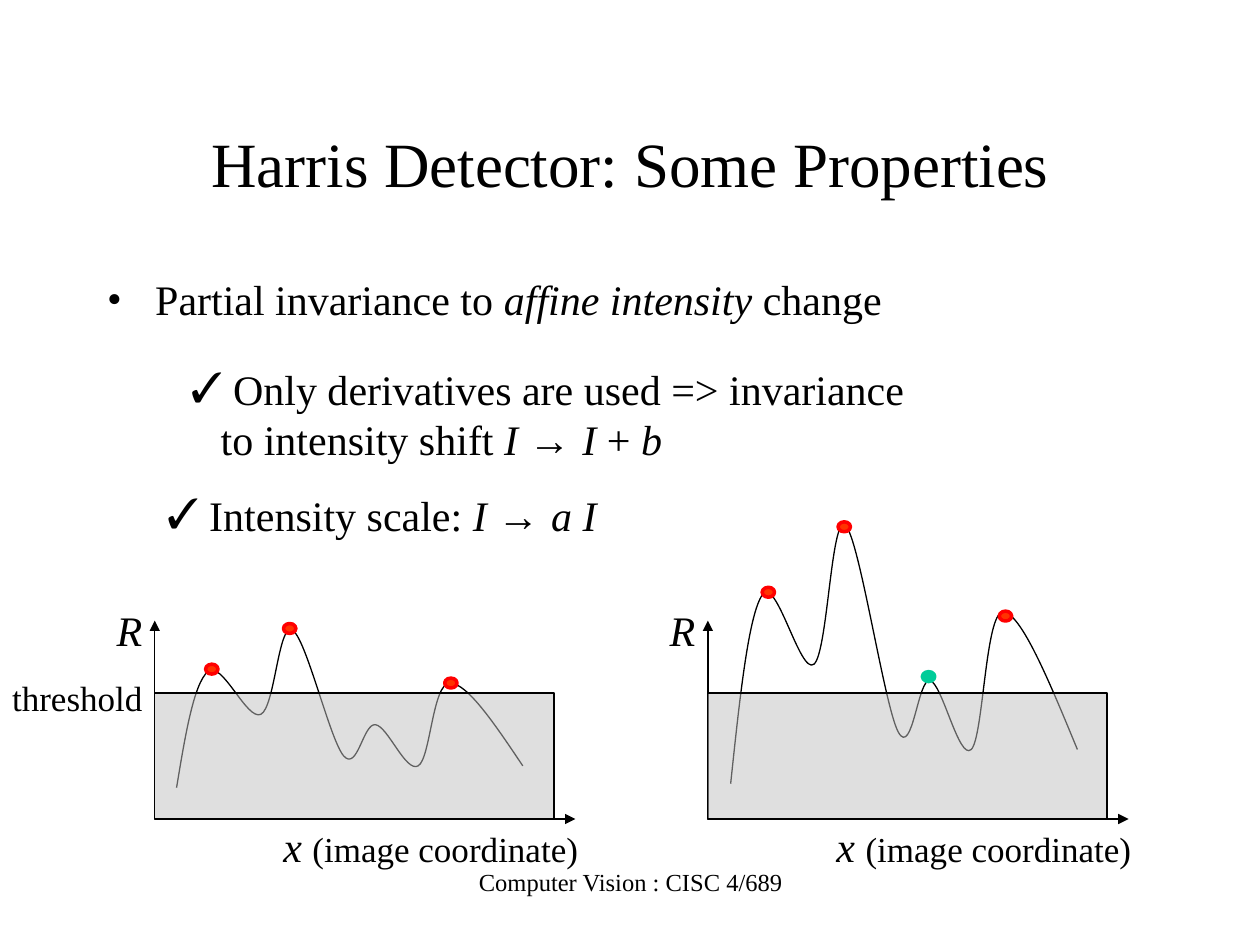
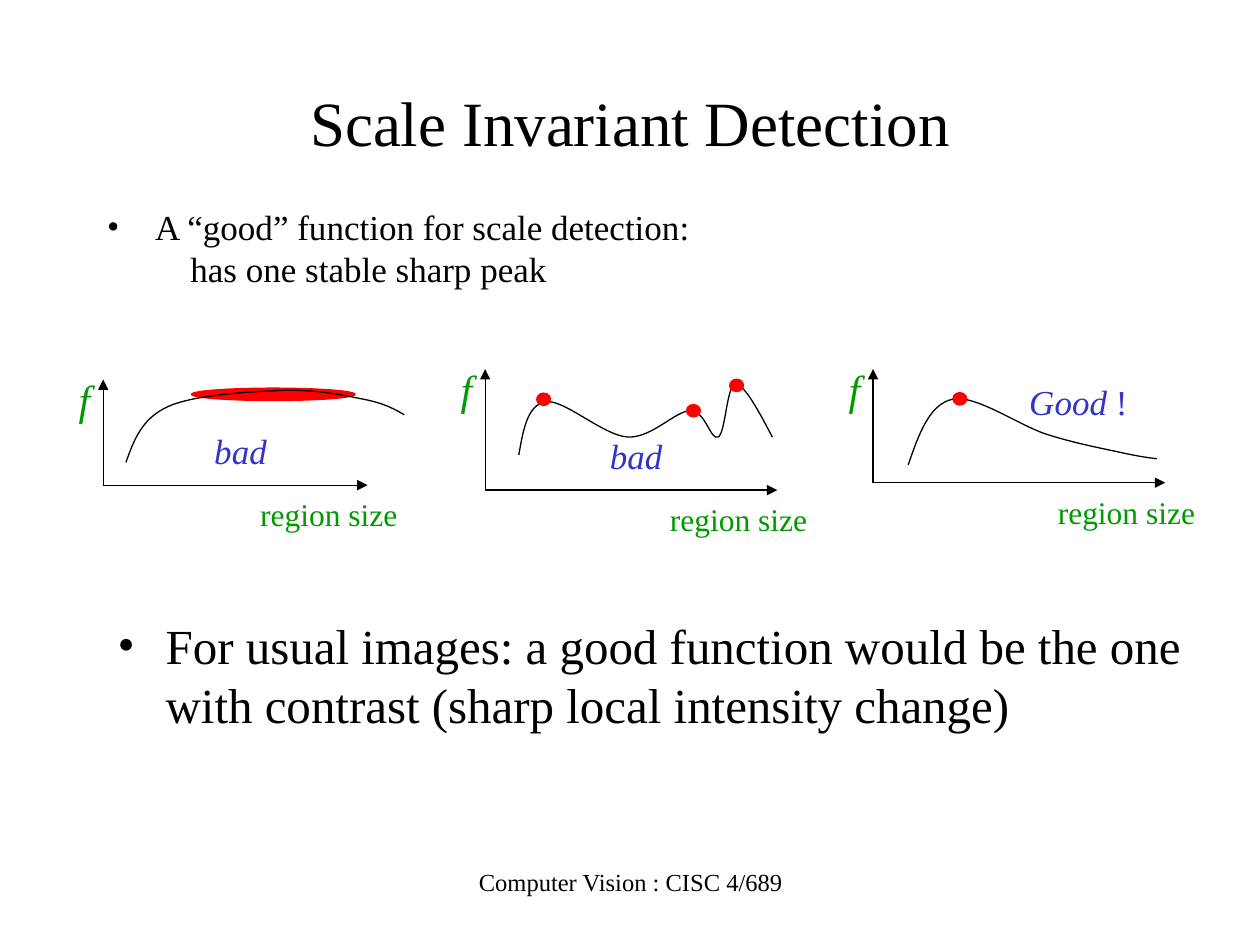
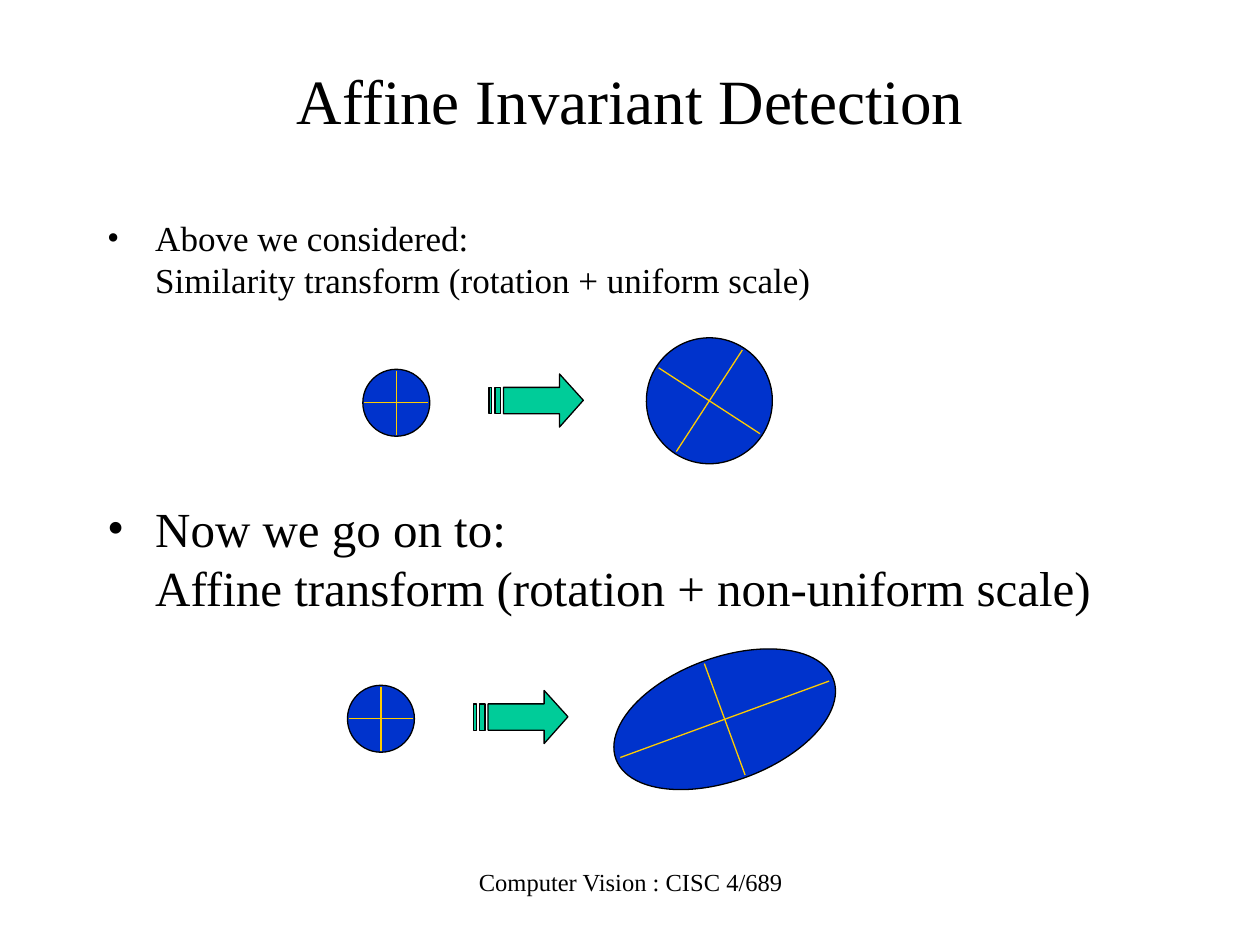
import math

from lxml import etree
from pptx import Presentation, util as u
from pptx.dml.color import RGBColor
from pptx.enum import shapes, text
from pptx.oxml.ns import qn

COLORS = {
    "ink": "000000", "band": "C0C0C0", "peak": "FF3300", "red": "FF0000",
    "teal": "00CC99", "green": "009900", "note": "3333CC", "blue": "0033CC",
    "spoke": "FFCC00",
}
SERIF, ARROW_FONT = "Times New Roman", "Arial"
HANG = 0.97
ITALIC = {"italic": True}
ARROW = ("→ ", {"name": ARROW_FONT})
CENTER = text.PP_ALIGN.CENTER


def rgb(name):
    return RGBColor.from_string(COLORS[name])


def apply(target, values):
    for name, value in values.items():
        setattr(target, name, value)


def add_mark(para, mark, hang):
    props = para._p.get_or_add_pPr()
    props.set("marL", str(u.Cm(hang)))
    props.set("indent", str(u.Cm(-hang)))
    tint = etree.SubElement(props, qn("a:buClr"))
    etree.SubElement(tint, qn("a:srgbClr"), val=COLORS["ink"])
    etree.SubElement(props, qn("a:buFont"), typeface=SERIF)
    etree.SubElement(props, qn("a:buChar"), char=mark)


def add_spans(para, spans, size, color):
    for words, changes in spans:
        span = para.add_run()
        span.text = words
        apply(span.font, {"name": SERIF, "size": u.Pt(size), **changes})
        span.font.color.rgb = rgb(color)


def add_box(page, area, **frame):
    box = page.shapes.add_textbox(*map(u.Cm, area))
    apply(box.text_frame, {"word_wrap": True, **frame})
    return box.text_frame


def add_label(page, area, spans, size, color="ink", **frame):
    settings = {"word_wrap": False, "margin_left": 0, "margin_right": 0, **frame}
    para = add_box(page, area, **settings).paragraphs[0]
    para.alignment = CENTER
    add_spans(para, spans, size, color)


def add_bullet(page, area, spans, size, mark="•", hang=HANG, spacing=None,
               more=None, more_indent=HANG):
    frame = add_box(page, area)
    para = frame.paragraphs[0]
    add_mark(para, mark, hang)
    para.line_spacing = spacing
    add_spans(para, spans, size, "ink")
    if more:
        para = frame.add_paragraph()
        para._p.get_or_add_pPr().set("marL", str(u.Cm(more_indent)))
        add_spans(para, [(more, {})], size, "ink")


def paint(shape, fill, line="ink", width=0.75):
    shape.shadow.inherit = False
    if fill:
        shape.fill.solid()
        shape.fill.fore_color.rgb = rgb(fill)
    else:
        shape.fill.background()
    shape.line.color.rgb = rgb(line)
    shape.line.width = u.Pt(width)


def add_line(page, start, end, color="ink", arrow=False):
    line = page.shapes.add_connector(
        shapes.MSO_CONNECTOR.STRAIGHT, *map(u.Cm, (*start, *end)))
    line.line.color.rgb = rgb(color)
    line.line.width = u.Pt(0.75)
    if arrow:
        etree.SubElement(line.line._get_or_add_ln(), qn("a:tailEnd"), type="triangle")
    etree.SubElement(line._element.spPr, qn("a:effectLst"))


def add_ellipse(page, center, size, fill, line="ink", width=0.75, angle=0):
    corner = [c - s / 2 for c, s in zip(center, size)]
    oval = page.shapes.add_shape(
        shapes.MSO_SHAPE.OVAL, *map(u.Cm, (*corner, *size)))
    oval.rotation = angle
    paint(oval, fill, line, width)


def curve_points(knots):
    slopes = [[(b - a) / 6 for a, b in zip(before, after)]
              for before, after in zip(knots, knots[2:])]
    handles = [([k - s for k, s in zip(knot, slope)],
                [k + s for k, s in zip(knot, slope)])
               for knot, slope in zip(knots[1:-1], slopes)]

    def middle(p, q):
        return [(a + b) / 2 for a, b in zip(p, q)]

    leaving = [middle(knots[0], handles[0][0])] + [h[1] for h in handles]
    arriving = [h[0] for h in handles] + [middle(handles[-1][1], knots[-1])]
    for trio in zip(leaving, arriving, knots[1:]):
        yield from trio


def add_curve(page, knots):
    builder = page.shapes.build_freeform(*map(u.Cm, knots[0]))
    builder.add_line_segments(
        [tuple(map(u.Cm, p)) for p in curve_points(knots)], close=False)
    curve = builder.convert_to_shape()
    steps = list(curve._element.iter(qn("a:lnTo")))
    for first in range(0, len(steps), 3):
        bend = etree.Element(qn("a:cubicBezTo"))
        steps[first].addprevious(bend)
        for step in steps[first:first + 3]:
            bend.append(step[0])
            step.getparent().remove(step)
    paint(curve, None)


def add_axes(page, origin, width, height):
    x, y = origin
    add_line(page, origin, (x + width, y), arrow=True)
    add_line(page, origin, (x, y - height), arrow=True)


def add_response_plot(page, left, knots):
    base = 16.51
    add_curve(page, knots)
    add_axes(page, (left, base), 8.48, 4)
    add_label(page, (left - 1.02, 12.07, 1.02, 1.27), [("R", ITALIC)], 24)
    add_label(page, (left + 2.34, 16.41, 6.45, 1.27),
              [("x ", ITALIC), ("(image coordinate)", {"size": u.Pt(20)})], 24)
    band = page.shapes.add_shape(
        shapes.MSO_SHAPE.RECTANGLE, *map(u.Cm, (left, base - 2.54, 8.05, 2.54)))
    paint(band, "band")
    tint = band._element.spPr.find(qn("a:solidFill"))[0]
    etree.SubElement(tint, qn("a:alpha"), val="50000")


def add_scale_axes(page, origin, width, height):
    x, y = origin
    add_axes(page, origin, width, height)
    add_label(page, (x - 0.75, y - height - 0.24, 0.75, 1.27),
              [("f", ITALIC)], 24, "green")
    add_label(page, (x + width - 2.42, y + 0.08, 3.28, 1.02),
              [("region size", {})], 18, "green")


def add_striped_arrow(page, left, top):
    low, high = 0.27, 0.8
    outlines = [
        [(1.42, 0), (1.42, low), (0.29, low), (0.29, high),
         (1.42, high), (1.42, 1.07), (1.9, 0.53)],
        [(0.12, low), (0.12, high), (0.23, high), (0.23, low)],
        [(0, low), (0, high), (0.05, high), (0.05, low)],
    ]
    placed = [[(u.Cm(left + x), u.Cm(top + y)) for x, y in outline]
              for outline in outlines]
    builder = page.shapes.build_freeform(*placed[0][0])
    for number, outline in enumerate(placed):
        if number:
            builder.move_to(*outline[0])
        builder.add_line_segments(outline[1:], close=True)
    paint(builder.convert_to_shape(), "teal")


def add_wheel(page, center, size, angle=0):
    add_ellipse(page, center, size, "blue", angle=angle)
    x, y = center
    for length, turn in zip(size, (angle, angle + 90)):
        reach = 0.48 * length
        dx = reach * math.cos(math.radians(turn))
        dy = reach * math.sin(math.radians(turn))
        add_line(page, (x - dx, y - dy), (x + dx, y + dy), "spoke")


def add_page(deck, title, title_top):
    page = deck.slides.add_slide(deck.slide_layouts[6])
    add_label(page, (8.69, 17.35, 8.05, 1.27), [("Computer Vision : CISC 4/689", {})], 14)
    add_label(page, (1.91, title_top, 21.59, 3.18), [(title, {})], 36,
              vertical_anchor=text.MSO_ANCHOR.MIDDLE)
    return page


def add_properties(deck):
    page = add_page(deck, "Harris Detector: Some Properties", 1.69)
    add_bullet(page, (1.91, 5.5, 21.59, 1.48),
               [("Partial invariance to ", {}), ("affine intensity", ITALIC),
                (" change", {})], 24, spacing=0.9)
    check = {"mark": "✓", "hang": 0.6}
    add_bullet(page, (3.6, 7.2, 15.44, 2.29),
               [(" Only derivatives are used => invariance to intensity shift ", {}),
                ("I ", ITALIC), ARROW, ("I ", ITALIC), ("+ ", {}), ("b", ITALIC)],
               24, **check)
    add_bullet(page, (3.12, 9.74, 14.4, 1.27),
               [(" Intensity scale: ", {}), ("I ", ITALIC), ARROW, ("a I", ITALIC)],
               24, **check)
    add_response_plot(page, 3.12, [
        (3.56, 15.88), (4.19, 13.54), (5.26, 14.4), (5.89, 12.7), (6.93, 15.24),
        (7.57, 14.61), (8.43, 15.44), (9.07, 13.77), (10.54, 15.44)])
    add_label(page, (0, 13.51, 3.12, 1.12), [("threshold", {})], 20)
    add_response_plot(page, 14.27, [
        (14.73, 15.8), (15.37, 11.99), (16.41, 13.39), (17.04, 10.59), (18.11, 14.76),
        (18.75, 13.72), (19.58, 15.11), (20.22, 12.34), (21.72, 15.11)])
    dot = (0.25, 0.2)
    for center in [(4.27, 13.49), (5.84, 12.67), (9.09, 13.77),
                   (15.49, 11.94), (17.02, 10.62), (20.27, 12.42)]:
        add_ellipse(page, center, dot, "peak", "red", 2)
    add_ellipse(page, (18.72, 13.64), dot, "teal", "teal", 2)


def add_scale_detection(deck):
    page = add_page(deck, "Scale Invariant Detection", 0.85)
    add_bullet(page, (1.91, 4.02, 21.59, 2.96),
               [("A “good” function for scale detection:", {})], 20,
               more="has one stable sharp peak", more_indent=1.68)
    add_scale_axes(page, (2.08, 9.78), 5.33, 2.13)
    add_scale_axes(page, (9.78, 9.88), 5.89, 2.44)
    add_scale_axes(page, (17.6, 9.73), 5.89, 2.29)
    add_ellipse(page, (5.51, 7.95), (3.3, 0.25), "red", "red")
    add_curve(page, [(2.54, 9.32), (3.38, 8.2), (5.69, 7.87), (7.34, 8.05), (8.15, 8.36)])
    add_curve(page, [(10.46, 9.17), (11, 8.1), (12.65, 8.81), (13.92, 8.28),
                     (14.48, 8.81), (14.83, 7.75), (15.57, 8.81)])
    add_curve(page, [(18.31, 9.37), (19.2, 8.05), (21.11, 8.76), (22.58, 9.12),
                     (23.32, 9.25)])
    for center in [(10.96, 8.05), (13.98, 8.28), (14.85, 7.77), (19.35, 8.04)]:
        add_ellipse(page, center, (0.28, 0.25), "red", "red")
    for area, spans in [
            ((4.01, 8.53, 1.68, 1.12), [("bad", ITALIC)]),
            ((11.91, 8.64, 1.83, 1.12), [("bad", ITALIC)]),
            ((20.47, 7.54, 2.54, 1.12), [("Good ", ITALIC), ("!", {})])]:
        add_label(page, area, spans, 20, "note")
    add_bullet(page, (2.12, 12.28, 22.23, 4.02),
               [("For usual images: a good function would be the one with contrast "
                 "(sharp local intensity change)", {})], 28)


def add_affine_detection(deck):
    page = add_page(deck, "Affine Invariant Detection", 0.42)
    add_bullet(page, (1.91, 4.24, 21.59, 3.94), [("Above we considered:", {})], 20,
               more="Similarity transform (rotation + uniform scale)")
    add_bullet(page, (1.91, 9.93, 21.59, 3.94), [("Now we go on to:", {})], 28,
               more="Affine transform (rotation + non-uniform scale)")
    add_striped_arrow(page, 9.86, 7.54)
    add_striped_arrow(page, 9.55, 13.92)
    small = (1.35, 1.35)
    add_wheel(page, (7.99, 8.12), small)
    add_wheel(page, (14.3, 8.08), (2.54, 2.54), 33)
    add_wheel(page, (7.68, 14.49), small)
    add_wheel(page, (14.61, 14.5), (4.67, 2.49), -20.1)


def main():
    deck = Presentation()
    apply(deck, {"slide_width": u.Cm(25.4), "slide_height": u.Cm(19.05)})
    add_properties(deck)
    add_scale_detection(deck)
    add_affine_detection(deck)
    deck.save("out.pptx")


if __name__ == "__main__":
    main()
